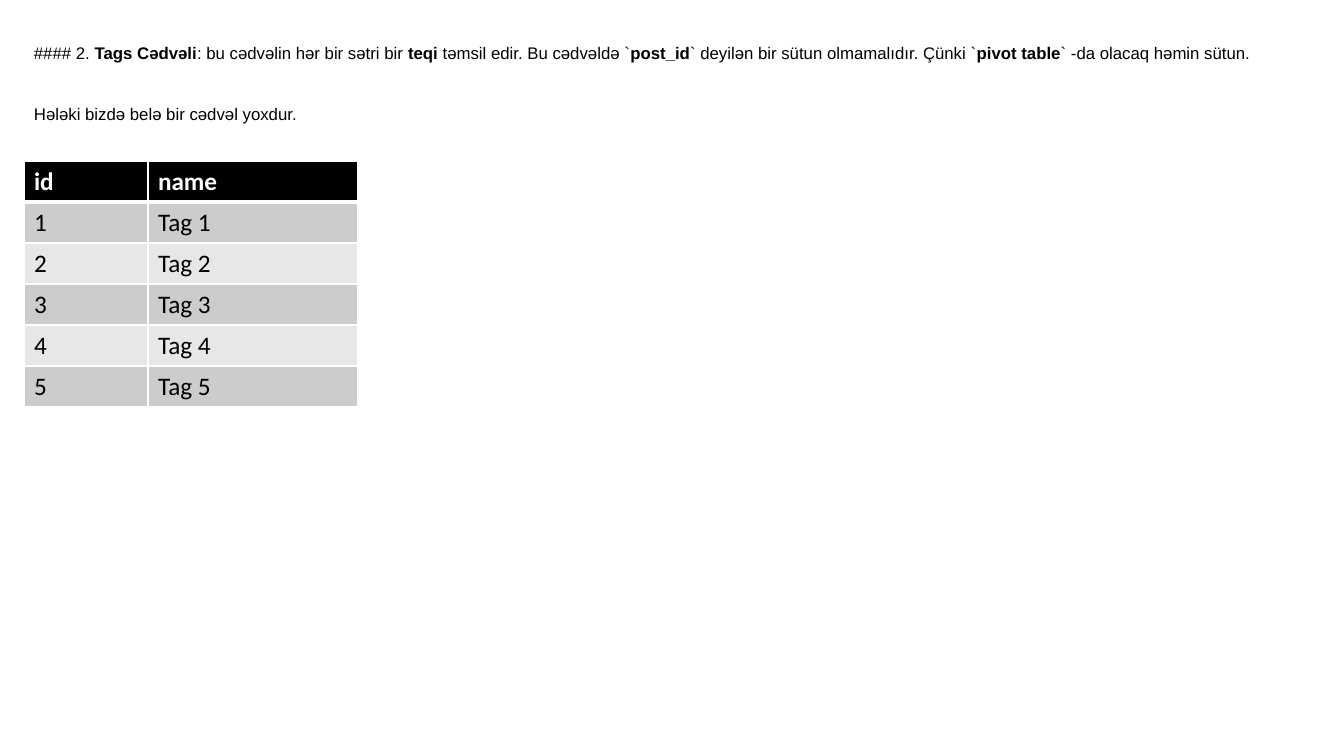
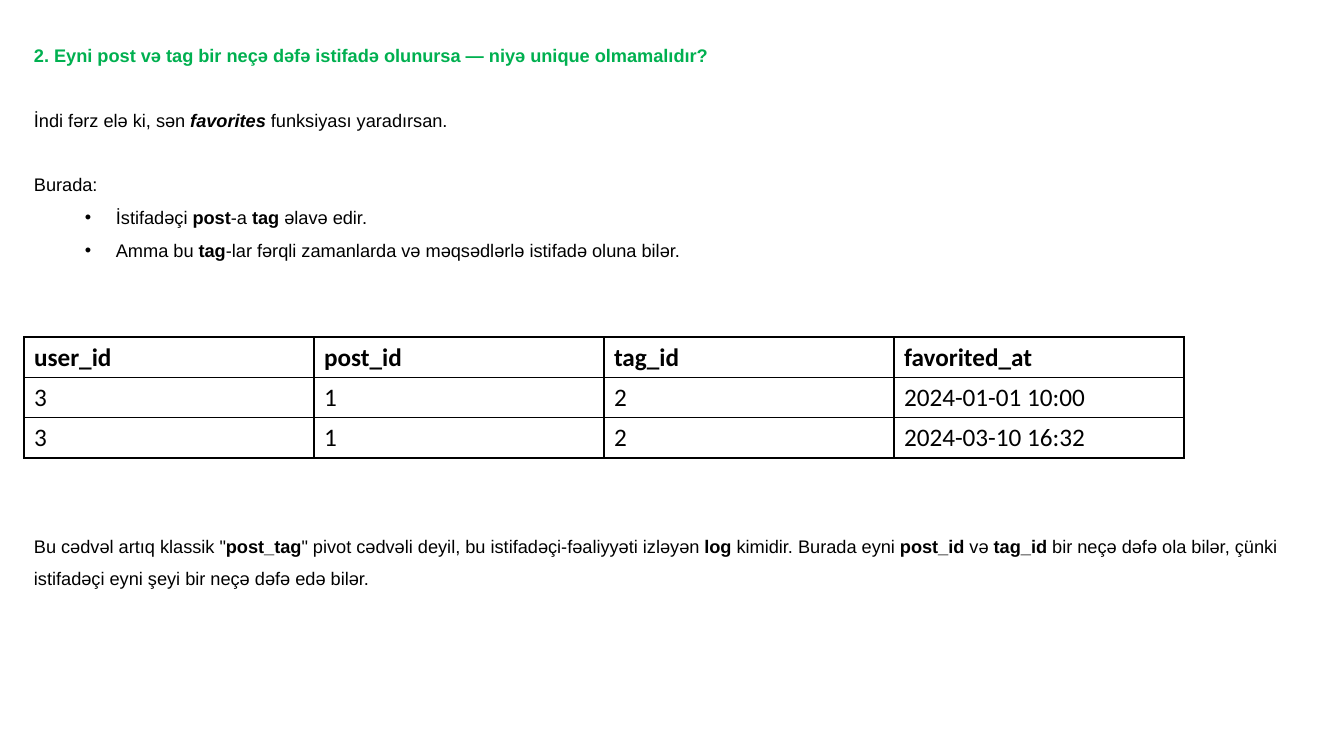
from dataclasses import dataclass

from lxml.etree import SubElement
from pptx import Presentation
from pptx.dml.color import RGBColor
from pptx.enum.text import MSO_ANCHOR, MSO_AUTO_SIZE
from pptx.oxml.ns import qn
from pptx.util import Pt

SLIDE_WIDTH, SLIDE_HEIGHT = 1344, 756
EMU_PER_PX = 12192000 / SLIDE_WIDTH
LEFT, TOP, TEXT_WIDTH = 24, 28, 1296
BULLET_MARGIN, BULLET_INDENT = 82, -31


@dataclass(frozen=True)
class Theme:
    text_font: str = "Arial"
    table_font: str = "Calibri"
    table_size: int = 18
    line_spacing: float = 1.5
    ink: str = "000000"
    paper: str = "FFFFFF"
    heading: str = "00B050"
    bands: tuple = ("CCCCCC", "E7E7E7")
    rule: int = 1
    header_rule: int = 3


THEME = Theme()

# A run is plain text or (text, style), where style holds b for bold, i for italic.
# Each paragraph is (kind, space before in points, runs).
SLIDES = [
    {
        "size": 12,
        "texts": [
            {"top": TOP, "height": 98, "paragraphs": [
                ("body", 0, [
                    "#### 2. ", ("Tags Cədvəli", "b"), ": bu cədvəlin hər bir sətri bir ",
                    ("teqi", "b"), " təmsil edir. Bu cədvəldə `", ("post_id", "b"),
                    "` deyilən bir sütun olmamalıdır. Çünki `", ("pivot table", "b"),
                    "` -da olacaq həmin sütun."]),
                ("body", 22, ["Hələki bizdə belə bir cədvəl yoxdur."]),
            ]},
        ],
        "table": {
            "top": 161, "columns": [124, 210], "row_height": 41, "banded": True,
            "rows": [("id", "name")] + [(str(n), f"Tag {n}") for n in range(1, 6)],
        },
    },
    {
        "size": 13,
        "texts": [
            {"top": TOP, "height": 240, "paragraphs": [
                ("heading", 0, [("2. Eyni post və tag bir neçə dəfə istifadə olunursa — "
                                 "niyə unique olmamalıdır?", "b")]),
                ("body", 23, ["İndi fərz elə ki, sən ", ("favorites", "bi"),
                              " funksiyası yaradırsan."]),
                ("body", 23, ["Burada:"]),
                ("bullet", 0, ["İstifadəçi ", ("post", "b"), "-a ", ("tag", "b"),
                               " əlavə edir."]),
                ("bullet", 0, ["Amma bu ", ("tag", "b"),
                               "-lar fərqli zamanlarda və məqsədlərlə istifadə oluna bilər."]),
            ]},
            {"top": 519, "height": 78, "paragraphs": [
                ("body", 0, [
                    "Bu cədvəl artıq klassik \"", ("post_tag", "b"),
                    "\" pivot cədvəli deyil, bu istifadəçi-fəaliyyəti izləyən ", ("log", "b"),
                    " kimidir. Burada eyni ", ("post_id ", "b"), "və ", ("tag_id ", "b"),
                    "bir neçə dəfə ola bilər, çünki istifadəçi eyni şeyi bir neçə dəfə "
                    "edə bilər."]),
            ]},
        ],
        "table": {
            "top": 337, "columns": [290] * 4, "row_height": 40, "banded": False,
            "rows": [
                ("user_id", "post_id", "tag_id", "favorited_at"),
                ("3", "1", "2", "2024-01-01 10:00"),
                ("3", "1", "2", "2024-03-10 16:32"),
            ],
        },
    },
]


def px(length):
    return round(length * EMU_PER_PX)


def style_font(font, name, size, color, style=""):
    font.name = name
    font.size = Pt(size)
    font.color.rgb = RGBColor.from_string(color)
    font.bold = "b" in style
    font.italic = "i" in style


def add_bullet(paragraph):
    properties = paragraph._p.get_or_add_pPr()
    properties.set("lvl", "1")
    properties.set("marL", str(px(BULLET_MARGIN)))
    properties.set("indent", str(px(BULLET_INDENT)))
    SubElement(properties, qn("a:buFont"), typeface=THEME.text_font)
    SubElement(properties, qn("a:buChar"), char="•")


def add_text(slide, text, size):
    box = slide.shapes.add_textbox(px(LEFT), px(text["top"]), px(TEXT_WIDTH), px(text["height"]))
    frame = box.text_frame
    frame.word_wrap = True
    frame.auto_size = MSO_AUTO_SIZE.SHAPE_TO_FIT_TEXT
    for index, (kind, space_before, runs) in enumerate(text["paragraphs"]):
        paragraph = frame.add_paragraph() if index else frame.paragraphs[0]
        if kind == "bullet":
            add_bullet(paragraph)
        paragraph.line_spacing = THEME.line_spacing
        if space_before:
            paragraph.space_before = Pt(space_before)
        color = THEME.heading if kind == "heading" else THEME.ink
        for item in runs:
            content, style = (item, "") if isinstance(item, str) else item
            run = paragraph.add_run()
            run.text = content
            style_font(run.font, THEME.text_font, size, color, style)


def set_borders(cell, color, top, bottom):
    """Draw all four cell edges; call before filling, as fills follow lines in the XML."""
    properties = cell._tc.get_or_add_tcPr()
    widths = {"lnL": THEME.rule, "lnR": THEME.rule, "lnT": top, "lnB": bottom}
    for edge, width in widths.items():
        line = SubElement(properties, qn(f"a:{edge}"), w=str(Pt(width)))
        fill = SubElement(line, qn("a:solidFill"))
        SubElement(fill, qn("a:srgbClr"), val=color)


def add_data_table(slide, data):
    rows, columns, banded = data["rows"], data["columns"], data["banded"]
    frame = slide.shapes.add_table(
        len(rows), len(columns), px(LEFT), px(data["top"]),
        px(sum(columns)), px(data["row_height"] * len(rows)))
    table = frame.table
    table.horz_banding = False
    for column, width in zip(table.columns, columns):
        column.width = px(width)
    header_rule = THEME.header_rule if banded else THEME.rule
    for row_index, values in enumerate(rows):
        table.rows[row_index].height = px(data["row_height"])
        is_header = row_index == 0
        for column_index, value in enumerate(values):
            cell = table.cell(row_index, column_index)
            set_borders(
                cell, THEME.paper if banded else THEME.ink,
                top=header_rule if row_index == 1 else THEME.rule,
                bottom=header_rule if is_header else THEME.rule)
            if banded:
                cell.fill.solid()
                fill = THEME.ink if is_header else THEME.bands[(row_index - 1) % 2]
                cell.fill.fore_color.rgb = RGBColor.from_string(fill)
            else:
                cell.fill.background()
                cell.vertical_anchor = MSO_ANCHOR.MIDDLE
            cell.text_frame.text = value
            color = THEME.paper if banded and is_header else THEME.ink
            style_font(cell.text_frame.paragraphs[0].runs[0].font, THEME.table_font,
                       THEME.table_size, color, "b" if is_header else "")


def main():
    presentation = Presentation()
    presentation.slide_width = px(SLIDE_WIDTH)
    presentation.slide_height = px(SLIDE_HEIGHT)
    for content in SLIDES:
        slide = presentation.slides.add_slide(presentation.slide_layouts[6])
        for text in content["texts"]:
            add_text(slide, text, content["size"])
        add_data_table(slide, content["table"])
    presentation.save("out.pptx")


if __name__ == "__main__":
    main()
